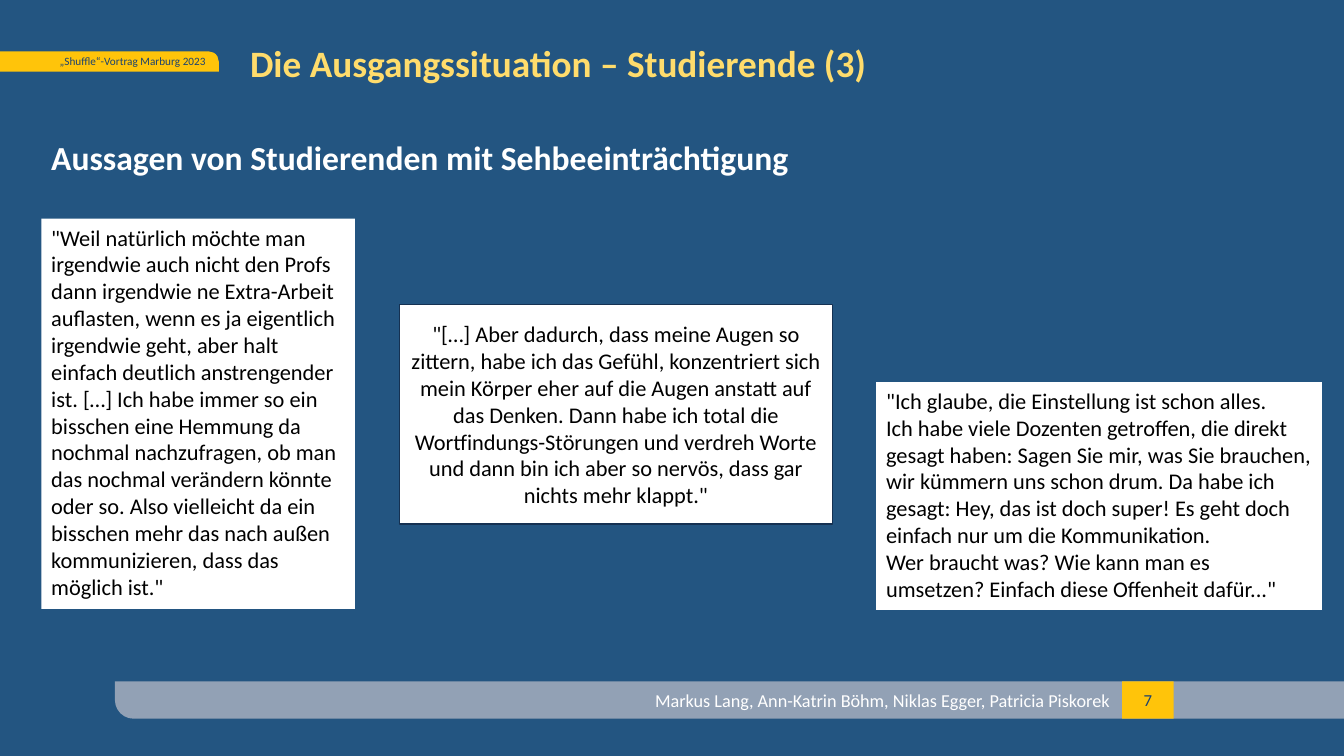
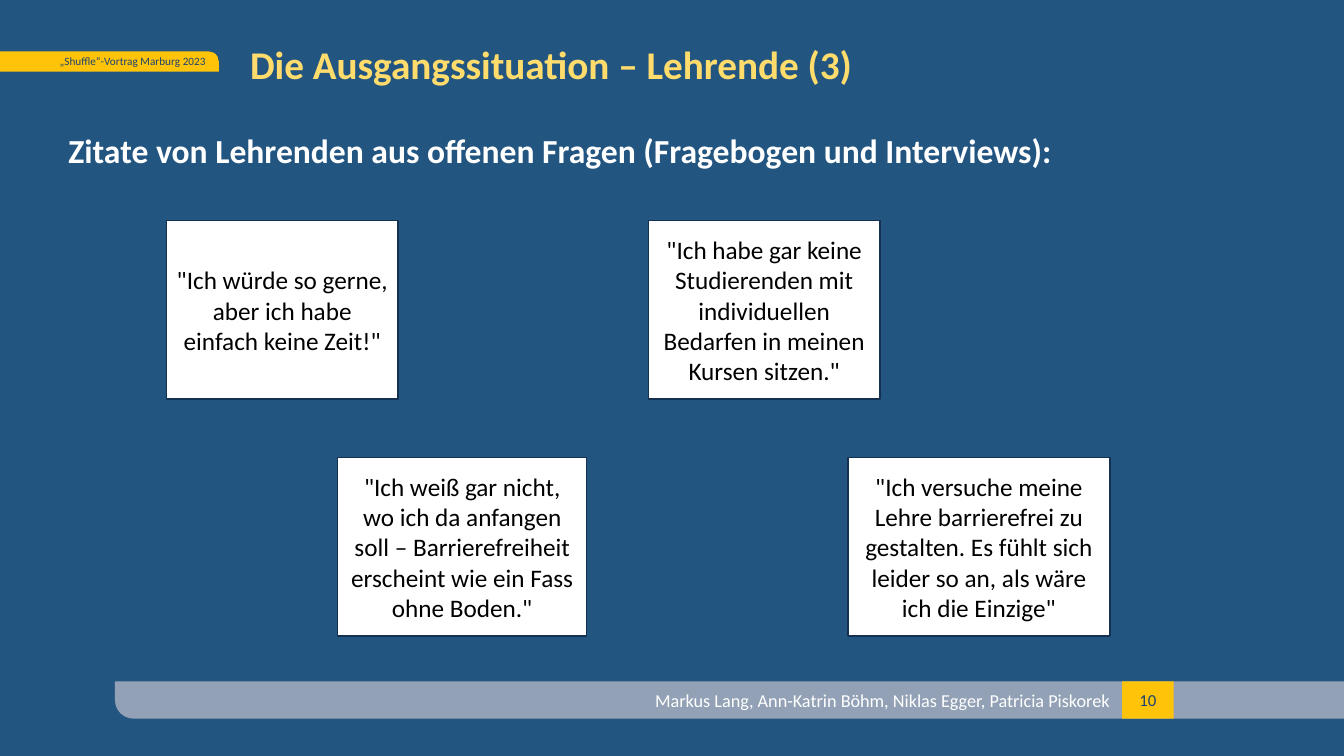
import pptx
import pptx.util
import pptx.dml.color
import pptx.enum.shapes
import pptx.enum.text

PX = 9144  # EMU per px, 100 px to the inch

RGB = pptx.dml.color.RGBColor
BLUE = RGB(0x23, 0x55, 0x81)
NAVY = RGB(0x1C, 0x42, 0x6F)
OUTLINE = RGB(0x15, 0x31, 0x52)
GOLD = RGB(0xFF, 0xC4, 0x0A)
YELLOW = RGB(0xFF, 0xDC, 0x6C)
GREY = RGB(0x92, 0xA1, 0xB5)
WHITE = RGB(0xFF, 0xFF, 0xFF)
BLACK = RGB(0x00, 0x00, 0x00)

SHAPE = pptx.enum.shapes.MSO_SHAPE
ALIGN = pptx.enum.text.PP_ALIGN
ANCHOR = pptx.enum.text.MSO_ANCHOR

TALK = "„Shuffle“-Vortrag Marburg 2023"
AUTHORS = "Markus Lang, Ann-Katrin Böhm, Niklas Egger, Patricia Piskorek"

# Quotes: area, has outline, paragraphs
SLIDES = [
    {
        "number": 7,
        "title": "Die Ausgangssituation – Studierende (3)",
        "title_width": 631,
        "title_size": 26.6,
        "heading": "Aussagen von Studierenden mit Sehbeeinträchtigung",
        "heading_area": (41, 131, 800, 50),
        "quote_size": 16,
        "quotes": [
            ((41, 217, 311, 387), False, [
                "\"Weil natürlich möchte man irgendwie auch nicht den Profs dann "
                "irgendwie ne Extra-Arbeit auflasten, wenn es ja eigentlich irgendwie "
                "geht, aber halt einfach deutlich anstrengender ist. […] Ich habe immer "
                "so ein bisschen eine Hemmung da nochmal nachzufragen, ob man das "
                "nochmal verändern könnte oder so. Also vielleicht da ein bisschen mehr "
                "das nach außen kommunizieren, dass das möglich ist.\""]),
            ((396, 302, 430, 218), True, [
                "\"[…] Aber dadurch, dass meine Augen so zittern, habe ich das Gefühl, "
                "konzentriert sich mein Körper eher auf die Augen anstatt auf das Denken. "
                "Dann habe ich total die Wortfindungs-Störungen und verdreh Worte und "
                "dann bin ich aber so nervös, dass gar nichts mehr klappt.\""]),
            ((869, 379, 442, 226), False, [
                "\"Ich glaube, die Einstellung ist schon alles.",
                "Ich habe viele Dozenten getroffen, die direkt gesagt haben: Sagen Sie "
                "mir, was Sie brauchen, wir kümmern uns schon drum. Da habe ich gesagt: "
                "Hey, das ist doch super! Es geht doch einfach nur um die Kommunikation.",
                "Wer braucht was? Wie kann man es umsetzen? Einfach diese Offenheit "
                "dafür...\""]),
        ],
    },
    {
        "number": 10,
        "title": "Die Ausgangssituation – Lehrende (3)",
        "title_width": 603,
        "title_size": 28,
        "heading": "Zitate von Lehrenden aus offenen Fragen (Fragebogen und Interviews):",
        "heading_area": (58, 124, 1165, 58),
        "quote_size": 18,
        "quotes": [
            ((165, 219, 230, 177), True, [
                "\"Ich würde so gerne, aber ich habe einfach keine Zeit!\""]),
            ((335, 454, 247, 177), True, [
                "\"Ich weiß gar nicht, wo ich da anfangen soll – Barrierefreiheit "
                "erscheint wie ein Fass ohne Boden.\""]),
            ((643, 219, 230, 177), True, [
                "\"Ich habe gar keine Studierenden mit individuellen Bedarfen in "
                "meinen Kursen sitzen.\""]),
            ((841, 454, 260, 177), True, [
                "\"Ich versuche meine Lehre barrierefrei zu gestalten. Es fühlt sich "
                "leider so an, als wäre ich die Einzige\""]),
        ],
    },
]


def add_box(slide, area, fill=None, kind=SHAPE.RECTANGLE, outline=None):
    """Add a flat shape, or a plain text box when there is no fill."""
    lengths = [length * PX for length in area]
    if fill is None:
        return slide.shapes.add_textbox(*lengths)
    box = slide.shapes.add_shape(kind, *lengths)
    box.shadow.inherit = False
    box.fill.solid()
    box.fill.fore_color.rgb = fill
    if outline is None:
        box.line.fill.background()
    else:
        box.line.color.rgb = outline
        box.line.width = pptx.util.Pt(1)
    return box


def write(box, texts, size, color, bold=False, align=ALIGN.LEFT, **frame_format):
    """Fill a box with one paragraph per text; extra names set the text frame."""
    frame = box.text_frame
    for name, value in {"word_wrap": True, "vertical_anchor": ANCHOR.TOP, **frame_format}.items():
        setattr(frame, name, value)
    font_format = {"name": "Calibri", "size": pptx.util.Pt(size), "bold": bold}
    for index, text in enumerate(texts):
        para = frame.paragraphs[0] if index == 0 else frame.add_paragraph()
        para.alignment = align
        span = para.add_run()
        span.text = text
        span.font.color.rgb = color
        for name, value in font_format.items():
            setattr(span.font, name, value)


deck = pptx.Presentation()
deck.slide_width = 1333 * PX
deck.slide_height = 750 * PX
master_fill = deck.slide_master.background.fill
master_fill.solid()
master_fill.fore_color.rgb = BLUE
title_only = deck.slide_layouts.get_by_name("Title Only")

for content in SLIDES:
    slide = deck.slides.add_slide(title_only)

    badge = add_box(slide, (0, 51, 217, 20), GOLD, SHAPE.ROUND_1_RECTANGLE)
    band = add_box(slide, (114, 676, 1219, 37), GREY, SHAPE.ROUND_1_RECTANGLE)
    band.rotation = 180
    for rounded in (badge, band):
        rounded.adjustments[0] = 0.5
    authors = add_box(slide, (565, 676, 545, 37))
    number = add_box(slide, (1113, 676, 51, 37), GOLD)
    write(badge, [TALK], 8, NAVY, align=ALIGN.RIGHT, vertical_anchor=ANCHOR.MIDDLE)
    write(authors, [AUTHORS], 13, WHITE, align=ALIGN.RIGHT, vertical_anchor=ANCHOR.MIDDLE)
    write(number, [str(content["number"])], 12, NAVY, align=ALIGN.CENTER,
          vertical_anchor=ANCHOR.MIDDLE)

    title = slide.shapes.title
    title_place = {"left": 248, "top": 40, "width": content["title_width"], "height": 71}
    for name, length in title_place.items():
        setattr(title, name, length * PX)
    write(title, [content["title"]], content["title_size"], YELLOW, bold=True,
          margin_left=0, margin_top=0, margin_right=0, margin_bottom=0,
          auto_size=pptx.enum.text.MSO_AUTO_SIZE.NONE)

    heading = add_box(slide, content["heading_area"])
    write(heading, [content["heading"]], 24, WHITE, bold=True)

    for area, outlined, texts in content["quotes"]:
        quote = add_box(slide, area, WHITE, outline=OUTLINE if outlined else None)
        write(quote, texts, content["quote_size"], BLACK,
              align=ALIGN.CENTER if outlined else ALIGN.LEFT,
              vertical_anchor=ANCHOR.MIDDLE if outlined else ANCHOR.TOP)

deck.save("out.pptx")
